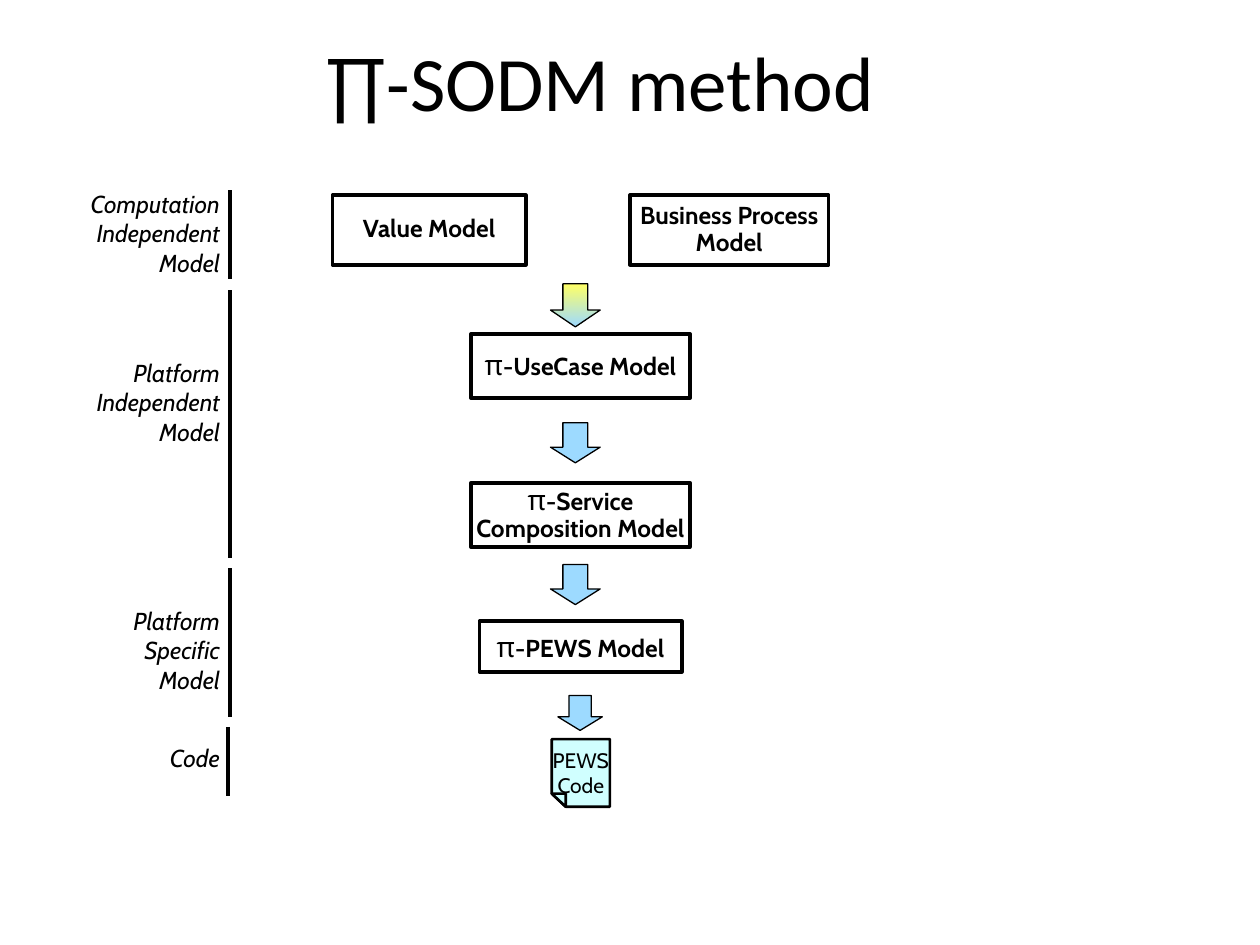
from lxml.etree import SubElement
from pptx import Presentation
from pptx.dml.color import RGBColor
from pptx.enum.shapes import MSO_CONNECTOR, MSO_SHAPE
from pptx.enum.text import MSO_ANCHOR, PP_ALIGN
from pptx.oxml.ns import qn
from pptx.util import Pt

COLORS = {"ink": "000000", "paper": "FFFFFF", "arrow": "9DDAFF",
          "arrow_top": "FFFF66", "code": "CCFFFF"}


def rgb(name):
    return RGBColor.from_string(COLORS[name])


class Diagram:
    font = "Cabin"
    box_font = {"size": Pt(14), "bold": True}
    pi_font = {"size": Pt(16), "bold": False}
    label_font = {"size": Pt(14), "italic": True}
    code_font = {"size": Pt(12)}
    title_font = {"size": Pt(44), "name": "Calibri"}

    def __init__(self, s):
        self.s = s

    def run(self, p, text, fmt):
        r = p.add_run()
        r.text = text
        for name, value in {"name": self.font, **fmt}.items():
            setattr(r.font, name, value)
        r.font.color.rgb = rgb("ink")

    def outline(self, sp, fill, width):
        sp.shadow.inherit = False
        sp.fill.solid()
        sp.fill.fore_color.rgb = rgb(fill)
        sp.line.color.rgb = rgb("ink")
        sp.line.width = Pt(width)

    def title(self, text, x, y, w, h):
        sp = self.s.shapes.title
        sp.left, sp.top, sp.width, sp.height = Pt(x), Pt(y), Pt(w), Pt(h)
        tf = sp.text_frame
        tf.vertical_anchor = MSO_ANCHOR.MIDDLE
        p = tf.paragraphs[0]
        p.alignment, p.line_spacing = PP_ALIGN.CENTER, 0.9
        self.run(p, text, self.title_font)

    def box(self, lines, x, y, w, h, spacing=0.9):
        """Draw a model box; a leading π is set larger and not bold."""
        sp = self.s.shapes.add_shape(MSO_SHAPE.ROUNDED_RECTANGLE,
                                     Pt(x), Pt(y), Pt(w), Pt(h))
        sp.adjustments[0] = 0
        self.outline(sp, "paper", 2.25)
        tf = sp.text_frame
        tf.word_wrap, tf.vertical_anchor = False, MSO_ANCHOR.MIDDLE
        for i, line in enumerate(lines):
            p = tf.add_paragraph() if i else tf.paragraphs[0]
            p.alignment, p.line_spacing = PP_ALIGN.CENTER, spacing
            if line.startswith("π"):
                self.run(p, "π", self.pi_font)
                line = line[1:]
            self.run(p, line, self.box_font)

    def text(self, lines, x, y, w, h, align, fmt):
        tf = self.s.shapes.add_textbox(Pt(x), Pt(y), Pt(w), Pt(h)).text_frame
        tf.word_wrap = True
        for i, line in enumerate(lines):
            p = tf.add_paragraph() if i else tf.paragraphs[0]
            p.alignment = align
            self.run(p, line, fmt)

    def bar(self, x, top, bottom):
        sp = self.s.shapes.add_connector(MSO_CONNECTOR.STRAIGHT,
                                         Pt(x), Pt(top), Pt(x), Pt(bottom))
        sp.line.color.rgb = rgb("ink")
        sp.line.width = Pt(2.25)
        SubElement(sp._element.spPr, qn("a:effectLst"))

    def arrow(self, x, y, w, h, top_color=None):
        sp = self.s.shapes.add_shape(MSO_SHAPE.DOWN_ARROW,
                                     Pt(x), Pt(y), Pt(w), Pt(h))
        sp.adjustments[0], sp.adjustments[1] = 0.5, 0.39
        self.outline(sp, "arrow", 0.75)
        if top_color:
            sp.fill.gradient()
            sp.fill.gradient_angle = 270
            for stop, color, pos in zip(sp.fill.gradient_stops,
                                        (top_color, "arrow"), (0, 1)):
                stop.color.rgb = rgb(color)
                stop.position = pos

    def polygon(self, points):
        start, *rest = [(Pt(x), Pt(y)) for x, y in points]
        builder = self.s.shapes.build_freeform(*start)
        builder.add_line_segments(rest, close=True)
        sp = builder.convert_to_shape()
        self.outline(sp, "code", 1.5)
        color = sp._element.spPr.find(qn("a:solidFill"))[0]
        SubElement(color, qn("a:alpha"), val="92000")

    def page(self, x, y, w, h, fold_w, fold_h):
        """Draw a sheet with its lower left corner folded up."""
        right, bottom = x + w, y + h
        fold = [(x, bottom - fold_h), (x + fold_w, bottom)]
        self.polygon([(x, y), (right, y), (right, bottom), *reversed(fold)])
        self.polygon([*fold, (x + fold_w, bottom - fold_h)])


def main():
    prs = Presentation()
    prs.slide_width, prs.slide_height = Pt(720), Pt(540)
    d = Diagram(prs.slides.add_slide(prs.slide_layouts[5]))
    d.title("∏-SODM method", 36.7, 20.9, 612, 56.9)

    d.box(["Value Model"], 190, 111.6, 110.5, 39.6)
    d.box(["Business Process", "Model"], 360, 111.6, 113.4, 39.6)
    d.box(["π-UseCase Model"], 269.3, 190.8, 124.9, 36.7)
    d.box(["π-Service", "Composition Model"], 269.3, 275.8, 124.9, 36.7)
    d.box(["π-PEWS Model"], 274, 355, 115.5, 28.8, spacing=1)

    d.arrow(314.6, 162.2, 28.4, 24.6, top_color="arrow_top")
    for y in (241.6, 322.6):
        d.arrow(314.6, y, 28.4, 22.9)
    d.arrow(318.8, 397.5, 25.4, 19.9)

    d.page(315.3, 422.4, 33.2, 38.6, 8, 7.5)
    d.text(["PEWS", "Code"], 306.7, 423.4, 50.4, 32.4,
           PP_ALIGN.CENTER, d.code_font)

    labels_right = 132.7
    levels = [
        # label, width, top, height, bar x, bar top, bar bottom
        ("Computation Independent Model", 101.5, 104.4, 57.6, 131.2, 108.7, 159.6),
        ("Platform Independent Model", 94.3, 200.9, 57.6, 131.2, 165.8, 318.7),
        ("Platform Specific Model", 87.5, 342.7, 57.6, 131.2, 324.7, 409.7),
        ("Code", 87.5, 421.2, 23.8, 130.5, 415.4, 455),
    ]
    for label, w, top, h, bar_x, bar_top, bar_bottom in levels:
        d.text([label], labels_right - w, top, w, h,
               PP_ALIGN.RIGHT, d.label_font)
        d.bar(bar_x, bar_top, bar_bottom)

    prs.save("out.pptx")


if __name__ == "__main__":
    main()
